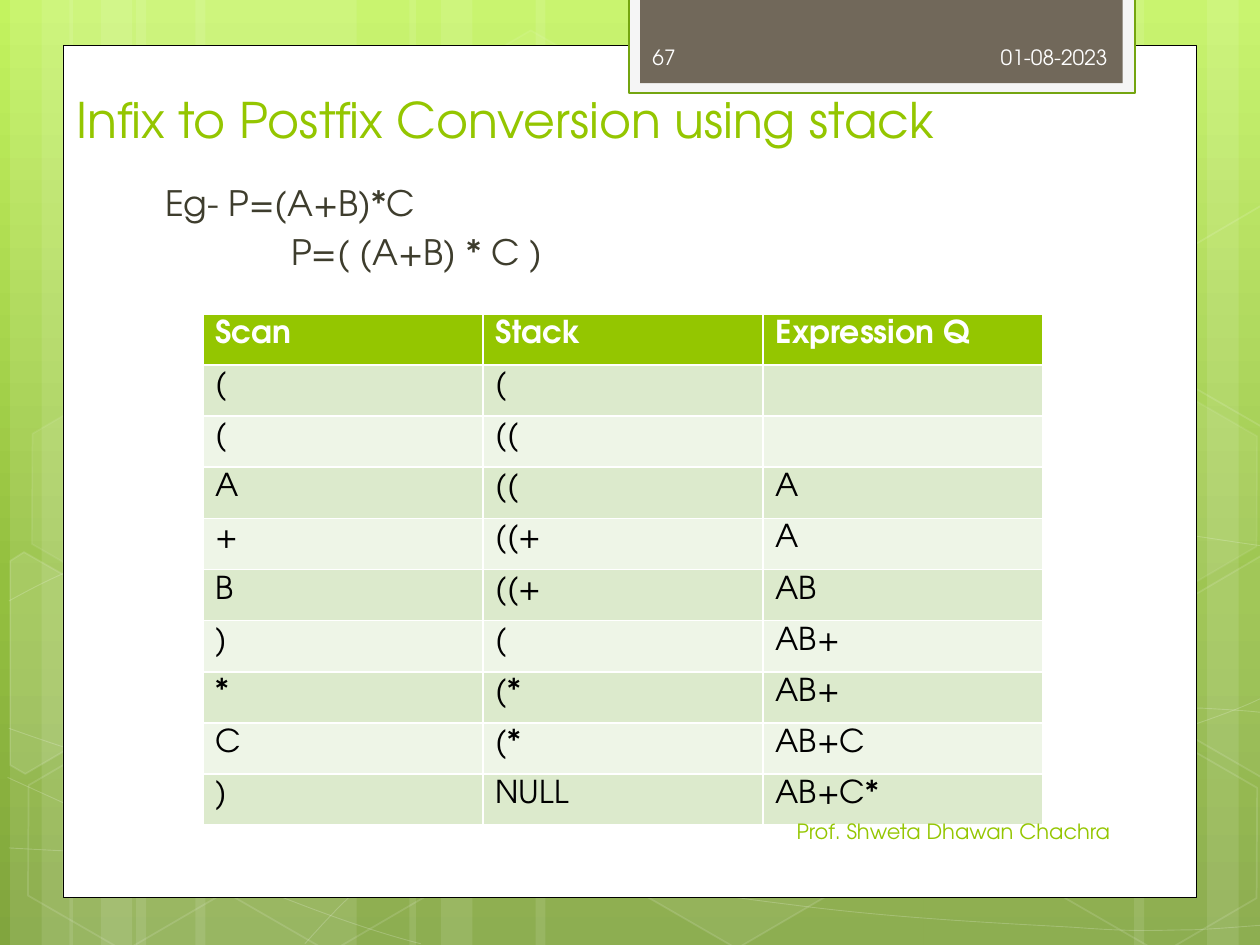
from copy import deepcopy
from math import cos, radians, sin
from lxml.etree import SubElement
from pptx import Presentation
from pptx.dml.color import RGBColor
from pptx.enum.shapes import MSO_SHAPE
from pptx.enum.text import MSO_ANCHOR, MSO_AUTO_SIZE, PP_ALIGN
from pptx.oxml.ns import qn
from pptx.util import Inches, Pt

FONT = "TeX Gyre Adventor"
TILT = 30
COLORS = {
    "sky": "C3F35F", "leaf": "93BF3F", "moss": "81A53E", "white": "FFFFFF",
    "black": "000000", "accent": "94C600", "body": "3E3D2D", "tab_frame": "F5F5F5",
    "tab_line": "74A510", "tab": "71685A", "tab_text": "FEFEFE",
    "odd_row": "DCEACC", "even_row": "EEF5E7",
}

# left, width and rotation of the translucent vertical bands
BANDS = [(1.08, 1.75, 0), (0.08, 0.5, 0), (0.33, 0.83, 0), (1.55, 1.75, 0), (0.55, 0.5, 0),
         (0.8, 0.83, 0), (7.33, 1.75, 180), (9.58, 0.5, 180), (9, 0.83, 180),
         (4.25, 3.08, 0), (3.25, 0.5, 0), (3.5, 0.83, 0)]
# chains of cubic Bezier points: start, then two controls and an end for each segment
WAVES = [
    [(0.07, 6.73), (0.61, 6.76), (1.15, 6.79), (1.9, 6.78), (2.65, 6.77), (3.58, 6.75),
     (4.58, 6.65), (5.58, 6.55), (7, 6.36), (7.92, 6.17), (8.83, 5.98), (9.77, 5.68),
     (10.07, 5.51)],
    [(0.07, 4.77), (0.36, 4.61), (0.65, 4.46), (1.21, 4.31), (1.78, 4.16), (2.59, 3.94),
     (3.47, 3.87), (4.36, 3.8), (5.44, 3.79), (6.54, 3.87), (7.64, 3.95), (9.47, 4.26),
     (10.07, 4.34)],
    [(0.06, 6.17), (1.27, 6.72), (2.47, 7.27), (3.34, 7.49)],
    [(0.07, 5.78), (0.38, 5.89), (0.7, 6), (1.28, 6.16), (1.86, 6.31), (2.73, 6.56),
     (3.57, 6.73), (4.4, 6.9), (5.45, 7.08), (6.28, 7.18), (7.11, 7.29), (8, 7.33),
     (8.53, 7.36), (9.05, 7.4), (9.19, 7.38), (9.45, 7.38), (9.71, 7.37), (9.89, 7.35),
     (10.07, 7.34)],
    [(2.42, 7.49), (2.6, 7.29), (2.78, 7.09), (3.02, 6.91), (3.26, 6.73), (3.6, 6.53),
     (3.88, 6.39), (4.16, 6.25), (4.33, 6.19), (4.7, 6.09), (5.06, 5.99), (5.73, 5.85),
     (6.08, 5.78), (6.44, 5.71), (6.49, 5.71), (6.8, 5.69), (7.11, 5.66), (7.6, 5.63),
     (7.94, 5.62), (8.29, 5.61), (8.86, 5.62), (8.86, 5.62), (9.08, 5.62), (9.31, 5.62),
     (9.53, 5.62), (9.71, 5.63), (9.88, 5.64), (9.97, 5.65), (10.06, 5.66), (10.03, 5.65),
     (10.06, 5.66)],
]
# left, top, fill opacity (None for outline only), line opacity
HEXAGONS = [(3.34, 0.36, 4, 8), (4.97, 5.89, 6, 12), (0.11, 5.91, None, 12),
            (0.14, 3.12, 7, 8), (1.74, 5.92, None, 12), (7.53, 4.53, 10, 12),
            (8.34, 5.93, None, 12), (8.34, 3.14, 7, 8)]
# centre, tilted outline and fill opacity of hexagons cut by the slide edge
CUT_HEXAGONS = [
    ((0.36, 5.35), [(0.08, 4.45), (0.19, 4.38), (0.96, 4.82), (0.95, 5.7), (0.2, 6.14),
                    (0.08, 6.07)], 10),
    ((9.85, 5.2), [(9.26, 4.85), (10.01, 4.41), (10.09, 4.46), (10.09, 6.13),
                   (10.02, 6.17), (9.26, 5.73)], 4),
    ((9.85, 2.41), [(9.26, 2.07), (10.01, 1.63), (10.1, 1.68), (10.09, 3.35),
                    (10.02, 3.39), (9.26, 2.95)], None),
]
TRACE = [
    ("Scan", "Stack", "Expression Q"),
    ("(", "(", ""), ("(", "((", ""), ("A", "((", "A"), ("+", "((+", "A"),
    ("B", "((+", "AB"), (")", "(", "AB+"), ("*", "(*", "AB+"),
    ("C", "(*", "AB+C"), (")", "NULL", "AB+C*"),
]


def rgb(name):
    return RGBColor.from_string(COLORS[name])


def box(left, top, width, height):
    return Inches(left), Inches(top), Inches(width), Inches(height)


def paint(fill, color, opacity=100):
    fill.solid()
    fill.fore_color.rgb = rgb(color)
    if opacity < 100:
        color_node = fill._xPr.find(qn("a:solidFill"))[0]
        SubElement(color_node, qn("a:alpha"), val=str(opacity * 1000))


def style(shape, fill=None, fill_opacity=100, line=None, width=1, line_opacity=100):
    shape.shadow.inherit = False
    if fill:
        paint(shape.fill, fill, fill_opacity)
    else:
        shape.fill.background()
    if line:
        shape.line.width = Pt(width)
        paint(shape.line.fill, line, line_opacity)
    else:
        shape.line.fill.background()


def add_run(paragraph, text, size, color, bold=False):
    run = paragraph.add_run()
    run.text = text
    run.font.name, run.font.size, run.font.bold = FONT, Pt(size), bold
    run.font.color.rgb = rgb(color)


def add_outline(shapes, points, close):
    start, *rest = [(Inches(x), Inches(y)) for x, y in points]
    builder = shapes.build_freeform(*start)
    builder.add_line_segments(rest, close=close)
    return builder.convert_to_shape()


def add_wave(shapes, points):
    """Draw a Bezier chain: each three line segments become one curve."""
    wave = add_outline(shapes, points, False)
    segments = list(wave.element.iter(qn("a:lnTo")))
    for i in range(0, len(segments), 3):
        curve = segments[i].makeelement(qn("a:cubicBezTo"))
        segments[i].addprevious(curve)
        for segment in segments[i:i + 3]:
            curve.append(segment[0])
            segment.getparent().remove(segment)
    return wave


def untilt(point, center):
    dx, dy = point[0] - center[0], point[1] - center[1]
    c, s = cos(radians(TILT)), sin(radians(TILT))
    return center[0] + dx * c + dy * s, center[1] - dx * s + dy * c


def set_background(slide):
    fill = slide.background.fill
    fill.gradient()
    fill.gradient_angle = 270
    first = fill.gradient_stops[0]
    first._gs.addnext(deepcopy(first._gs))
    for stop, (color, position) in zip(
            fill.gradient_stops, [("sky", 0), ("leaf", 0.62), ("moss", 1)]):
        stop.color.rgb, stop.position = rgb(color), position


def add_backdrop(shapes, height):
    for left, width, rotation in BANDS:
        band = shapes.add_shape(MSO_SHAPE.RECTANGLE, *box(left, 0, width, height))
        band.rotation = rotation
        style(band, "white", 10)
    for points in WAVES:
        style(add_wave(shapes, points), line="white", width=0.5, line_opacity=20)
    for left, top, opacity, line_opacity in HEXAGONS:
        hexagon = shapes.add_shape(MSO_SHAPE.HEXAGON, *box(left, top, 1.75, 1.52))
        hexagon.rotation = TILT
        hexagon.adjustments[0], hexagon.adjustments[1] = 0.285, 1.155
        style(hexagon, opacity and "white", opacity, "white", 1, line_opacity)
    for center, points, opacity in CUT_HEXAGONS:
        hexagon = add_outline(shapes, [untilt(point, center) for point in points], True)
        hexagon.rotation = TILT
        style(hexagon, opacity and "white", opacity, "white", 1, 12)


def add_panel(shapes):
    for place, fill, line, width in [
            ((0.5, 0.36, 9, 6.76), "white", "black", 0.5),
            ((4.99, -0.02, 4.02, 0.76), "tab_frame", "tab_line", 1.25),
            ((5.08, -0.02, 3.83, 0.68), "tab", None, 0)]:
        style(shapes.add_shape(MSO_SHAPE.RECTANGLE, *box(*place)), fill, line=line, width=width)


def place_placeholder(placeholder, place, anchor):
    """Position a placeholder and bring it in front of the panel."""
    placeholder.left, placeholder.top, placeholder.width, placeholder.height = box(*place)
    placeholder.element.getparent().append(placeholder.element)
    frame = placeholder.text_frame
    frame.auto_size, frame.vertical_anchor = MSO_AUTO_SIZE.NONE, anchor
    return frame


def fill_title(title, place):
    paragraph = place_placeholder(title, place, MSO_ANCHOR.BOTTOM).paragraphs[0]
    paragraph.alignment = PP_ALIGN.LEFT
    add_run(paragraph, "Infix to Postfix Conversion using stack", 28, "accent")


def fill_example(body, place):
    frame = place_placeholder(body, place, MSO_ANCHOR.TOP)
    lines = [("Eg- P=(A+B)*C", 0.07), ("P=( (A+B) * C )", 1.07)]
    for i, (text, indent) in enumerate(lines):
        paragraph = frame.add_paragraph() if i else frame.paragraphs[0]
        paragraph.space_before = Pt(4)
        properties = paragraph._p.get_or_add_pPr()
        properties.set("marL", str(Inches(indent)))
        properties.set("indent", "0")
        SubElement(properties, qn("a:buNone"))
        add_run(paragraph, text, 20, "body")


def add_trace_table(shapes, place):
    table = shapes.add_table(len(TRACE), len(TRACE[0]), *box(*place)).table
    for r, row in enumerate(TRACE):
        header = r == 0
        fill = "accent" if header else "odd_row" if r % 2 else "even_row"
        for c, text in enumerate(row):
            cell = table.cell(r, c)
            paint(cell.fill, fill)
            if text:
                add_run(cell.text_frame.paragraphs[0], text, 18,
                        "white" if header else "black", header)


def add_label(shapes, place, text, color, align):
    frame = shapes.add_textbox(*box(*place)).text_frame
    frame.word_wrap, frame.vertical_anchor = True, MSO_ANCHOR.MIDDLE
    frame.paragraphs[0].alignment = align
    add_run(frame.paragraphs[0], text, 12, color)


def main():
    deck = Presentation()
    deck.slide_width, deck.slide_height = Inches(10), Inches(7.5)
    slide = deck.slides.add_slide(deck.slide_layouts[1])
    shapes = slide.shapes
    set_background(slide)
    add_backdrop(shapes.add_group_shape().shapes, 7.5)
    add_panel(shapes)
    fill_title(shapes.title, (0.51, 0.73, 7.68, 0.5))
    fill_example(slide.placeholders[1], (1.14, 1.39, 7.41, 4.99))
    add_trace_table(shapes, (1.61, 2.49, 6.67, 4.06))
    add_label(shapes, (6.56, 0.25, 2.33, 0.4), "01-08-2023", "tab_text", PP_ALIGN.RIGHT)
    add_label(shapes, (5.08, 6.4, 3.83, 0.4), "Prof. Shweta Dhawan Chachra", "accent",
              PP_ALIGN.RIGHT)
    add_label(shapes, (5.08, 0.25, 1.46, 0.4), "67", "tab_text", PP_ALIGN.LEFT)
    deck.save("out.pptx")


if __name__ == "__main__":
    main()
